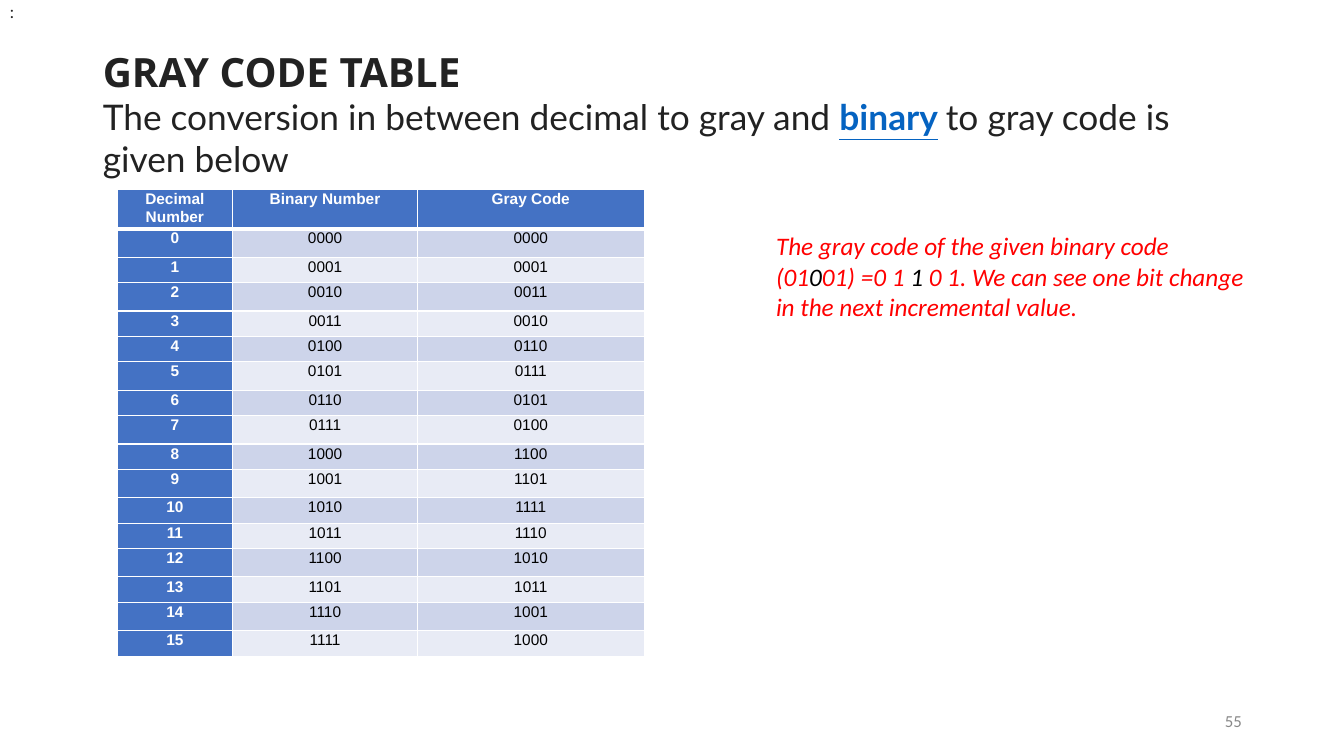
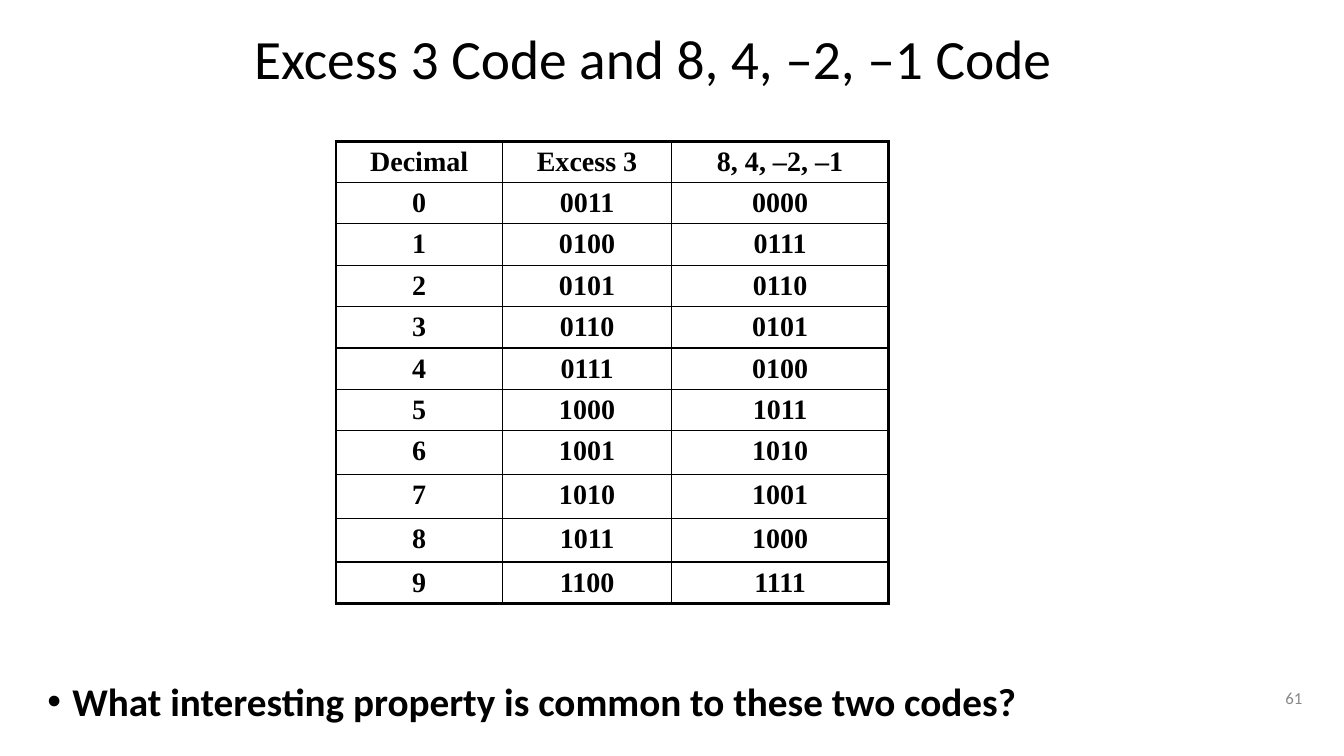
from dataclasses import dataclass
from itertools import cycle, islice

from lxml import etree
from pptx import Presentation
from pptx import util as u
from pptx.dml.color import RGBColor
from pptx.enum import text
from pptx.oxml.ns import qn

# Shared look
WIDTH, HEIGHT = u.Inches(13.33), u.Inches(7.5)
COLOURS = {
    "black": "000000", "white": "FFFFFF", "ink": "222222", "link": "0563C1",
    "red": "FF0000", "number": "888888", "blue": "4472C4",
    "band_dark": "CDD4EA", "band_light": "E8EBF5",
}
INSETS = (0.1, 0.05, 0.1, 0.05)
LEFT, CENTRE, RIGHT = text.PP_ALIGN.LEFT, text.PP_ALIGN.CENTER, text.PP_ALIGN.RIGHT
TOP, MIDDLE = text.MSO_ANCHOR.TOP, text.MSO_ANCHOR.MIDDLE


@dataclass(frozen=True)
class Area:
    """Position and size as percentages of the slide."""
    left: float
    top: float
    width: float
    height: float


@dataclass(frozen=True)
class Style:
    font: str
    size: float
    colour: str = "black"
    bold: bool = False
    italic: bool = False
    underline: bool = False


@dataclass(frozen=True)
class Piece:
    words: str
    style: Style


@dataclass(frozen=True)
class Grid:
    """Table geometry in slide percentages, with the line widths in points."""
    left: float
    top: float
    columns: list[float]
    rows: list[float]
    upright_lines: list[float]
    level_lines: list[float]
    line_colour: str
    insets: tuple[float, float, float, float] = INSETS
    line_spacing: float = 1.0


def across(percent: float) -> int:
    return round(WIDTH * percent / 100)


def down(percent: float) -> int:
    return round(HEIGHT * percent / 100)


def rgb(colour: str) -> RGBColor:
    return RGBColor.from_string(COLOURS[colour])


# Text
def style_font(font, style: Style) -> None:
    font.name, font.size = style.font, u.Pt(style.size)
    font.bold, font.italic, font.underline = style.bold, style.italic, style.underline
    font.color.rgb = rgb(style.colour)


def add_pieces(paragraph, pieces: list[Piece]) -> None:
    for piece in pieces:
        run = paragraph.add_run()
        run.text = piece.words
        style_font(run.font, piece.style)


def place(shape, area: Area, anchor, insets=INSETS) -> None:
    shape.left, shape.top = across(area.left), down(area.top)
    shape.width, shape.height = across(area.width), down(area.height)
    frame = shape.text_frame
    frame.word_wrap, frame.auto_size = True, text.MSO_AUTO_SIZE.NONE
    frame.vertical_anchor = anchor
    (frame.margin_left, frame.margin_top,
     frame.margin_right, frame.margin_bottom) = map(u.Inches, insets)


def add_title(slide, area: Area, lines: list[list[Piece]], spacing: float = 1.0) -> None:
    title = slide.shapes.title
    place(title, area, MIDDLE)
    paragraph = title.text_frame.paragraphs[0]
    paragraph.alignment, paragraph.line_spacing = LEFT, spacing
    for index, pieces in enumerate(lines):
        if index:
            paragraph.add_line_break()
        add_pieces(paragraph, pieces)


def add_text(slide, area: Area, paragraphs: list[list[Piece]], anchor=TOP,
             alignment=LEFT, insets=INSETS):
    box = slide.shapes.add_textbox(0, 0, 0, 0)
    place(box, area, anchor, insets)
    frame = box.text_frame
    for index, pieces in enumerate(paragraphs):
        paragraph = frame.add_paragraph() if index else frame.paragraphs[0]
        paragraph.alignment = alignment
        add_pieces(paragraph, pieces)
    return box


def add_bullet(paragraph, indent: float) -> None:
    properties = paragraph._p.get_or_add_pPr()
    properties.set("marL", str(u.Inches(indent)))
    properties.set("indent", str(-u.Inches(indent)))
    etree.SubElement(properties, qn("a:buFont")).set("typeface", "Arial")
    etree.SubElement(properties, qn("a:buChar")).set("char", "•")


def add_slide_number(slide, left: float, top: float, number: int) -> None:
    style = Style("Calibri", 12, "number")
    add_text(slide, Area(left, top, 22.5, 5.33), [[Piece(str(number), style)]],
             MIDDLE, RIGHT)


# Tables
def set_borders(cell, widths: dict[str, float], colour: str) -> None:
    properties = cell._tc.get_or_add_tcPr()
    for side in ("L", "R", "T", "B"):
        line = etree.SubElement(properties, qn(f"a:ln{side}"), w=str(u.Pt(widths[side])))
        fill = etree.SubElement(line, qn("a:solidFill"))
        etree.SubElement(fill, qn("a:srgbClr")).set("val", COLOURS[colour])


def add_grid(slide, grid: Grid, values: list[list[str]], cell_look) -> None:
    """cell_look(row, column) gives the text style and the fill colour or None."""
    table = slide.shapes.add_table(
        len(grid.rows), len(grid.columns), across(grid.left), down(grid.top),
        across(sum(grid.columns)), down(sum(grid.rows))).table
    table.first_row = table.horz_banding = False
    for column, width in zip(table.columns, grid.columns):
        column.width = across(width)
    for row, height in zip(table.rows, grid.rows):
        row.height = down(height)
    for r, row_values in enumerate(values):
        for c, value in enumerate(row_values):
            cell = table.cell(r, c)
            style, fill = cell_look(r, c)
            (cell.margin_left, cell.margin_top,
             cell.margin_right, cell.margin_bottom) = map(u.Inches, grid.insets)
            set_borders(cell, {
                "L": grid.upright_lines[c], "R": grid.upright_lines[c + 1],
                "T": grid.level_lines[r], "B": grid.level_lines[r + 1],
            }, grid.line_colour)
            if fill:
                cell.fill.solid()
                cell.fill.fore_color.rgb = rgb(fill)
            else:
                cell.fill.background()
            paragraph = cell.text_frame.paragraphs[0]
            paragraph.alignment = CENTRE
            paragraph.line_spacing = grid.line_spacing
            add_pieces(paragraph, [Piece(value, style)])


# Slide: Gray code
def gray_look(row: int, column: int) -> tuple[Style, str]:
    if row == 0 or column == 0:
        return Style("Arial", 11, "white", bold=True), "blue"
    return Style("Arial", 11), "band_dark" if row % 2 else "band_light"


def build_gray_code(slide) -> None:
    lead = Style("Lato", 25.2, "ink")
    add_title(slide, Area(6.9, 5.33, 86.25, 19.33), [
        [Piece("GRAY CODE TABLE", Style("Noto Sans", 28.8, "ink", bold=True))],
        [Piece("The conversion in between decimal to gray and ", lead),
         Piece("binary", Style("Lato", 25.2, "link", bold=True, underline=True)),
         Piece(" ", Style("Calibri", 25.2, "ink")),
         Piece("to gray code is given below", lead)],
    ])

    tall, low = 3.75, 3.37
    heights = cycle([tall, low, tall, low, low, tall, low])
    grid = Grid(8.7, 25.07, [8.63, 13.73, 16.88], [5.2, *islice(heights, 16)],
                [1] * 4, [1, 3] + [1] * 16, "white", (0.07, 0, 0.07, 0), 1.07)
    values = [["Decimal Number", "Binary Number", "Gray Code"]]
    values += [[str(n), f"{n:04b}", f"{n ^ n >> 1:04b}"] for n in range(16)]
    add_grid(slide, grid, values, gray_look)

    add_slide_number(slide, 70.65, 92.67, 55)
    add_text(slide, Area(0, 0.27, 1.8, 2.67), [[Piece(":", Style("Lato", 12, "ink"))]],
             MIDDLE, insets=(0.1, 0, 0, 0))

    # Worked example
    red = Style("Calibri", 18, "red", italic=True)
    black = Style("Calibri", 18, italic=True)
    add_text(slide, Area(57, 29.87, 36.3, 13.47), [
        [Piece("The gray code of the given binary code", red)],
        [Piece("(01", red), Piece("0", black), Piece("01) =0 1 ", red),
         Piece("1", black),
         Piece(" 0 1. We can see one bit change in the next incremental value.", red)],
    ])


# Slide: Excess 3 code
def excess_look(row: int, column: int) -> tuple[Style, None]:
    return Style("Times New Roman", 20, bold=True), None


def build_excess_code(slide) -> None:
    add_title(slide, Area(18.15, 0, 64, 16.4), [
        [Piece("Excess 3 Code and 8, 4, –2, –1 Code", Style("Calibri", 39.6))]], 0.9)

    grid = Grid(25, 18.67, [12.38, 12.6, 16.13], [5.47] * 7 + [5.8] * 3 + [5.47],
                [2.25, 1, 1, 2.25], [2.25] + [1] * 10 + [2.25], "black")
    values = [["Decimal", "Excess 3", "8, 4, –2, –1"]]
    # The 8 and 4 bits hold n rounded up to fours; the –2 and –1 bits the excess
    values += [[str(n), f"{n + 3:04b}", f"{-(-n // 4) * 8 - n:04b}"] for n in range(10)]
    add_grid(slide, grid, values, excess_look)

    question = add_text(slide, Area(2.78, 89.6, 86.25, 6.67), [
        [Piece("What interesting property is common to these two codes?",
               Style("Calibri", 28, bold=True))]])
    paragraph = question.text_frame.paragraphs[0]
    paragraph.line_spacing = 0.9
    add_bullet(paragraph, 0.25)
    add_slide_number(slide, 75.15, 89.6, 61)


def main() -> None:
    presentation = Presentation()
    presentation.slide_width, presentation.slide_height = WIDTH, HEIGHT
    title_only = presentation.slide_layouts[5]
    for build in (build_gray_code, build_excess_code):
        build(presentation.slides.add_slide(title_only))
    presentation.save("out.pptx")


if __name__ == "__main__":
    main()
